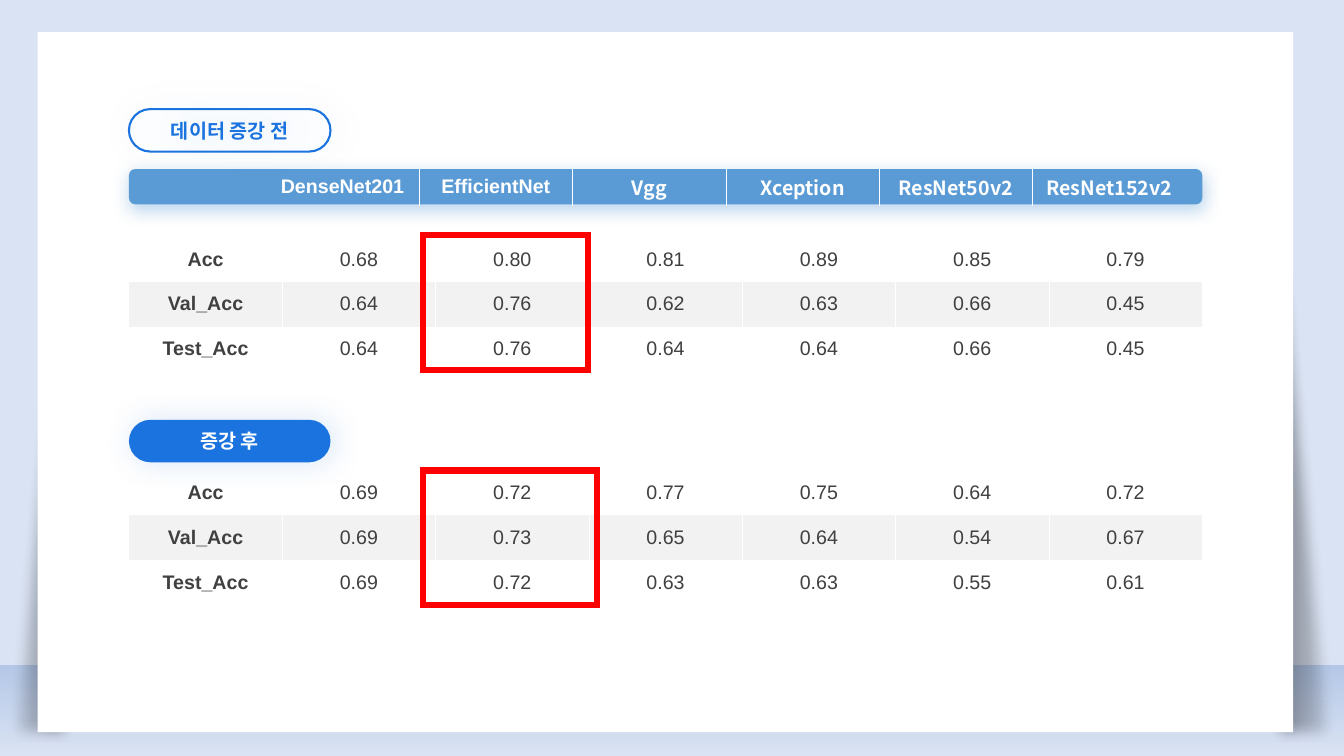
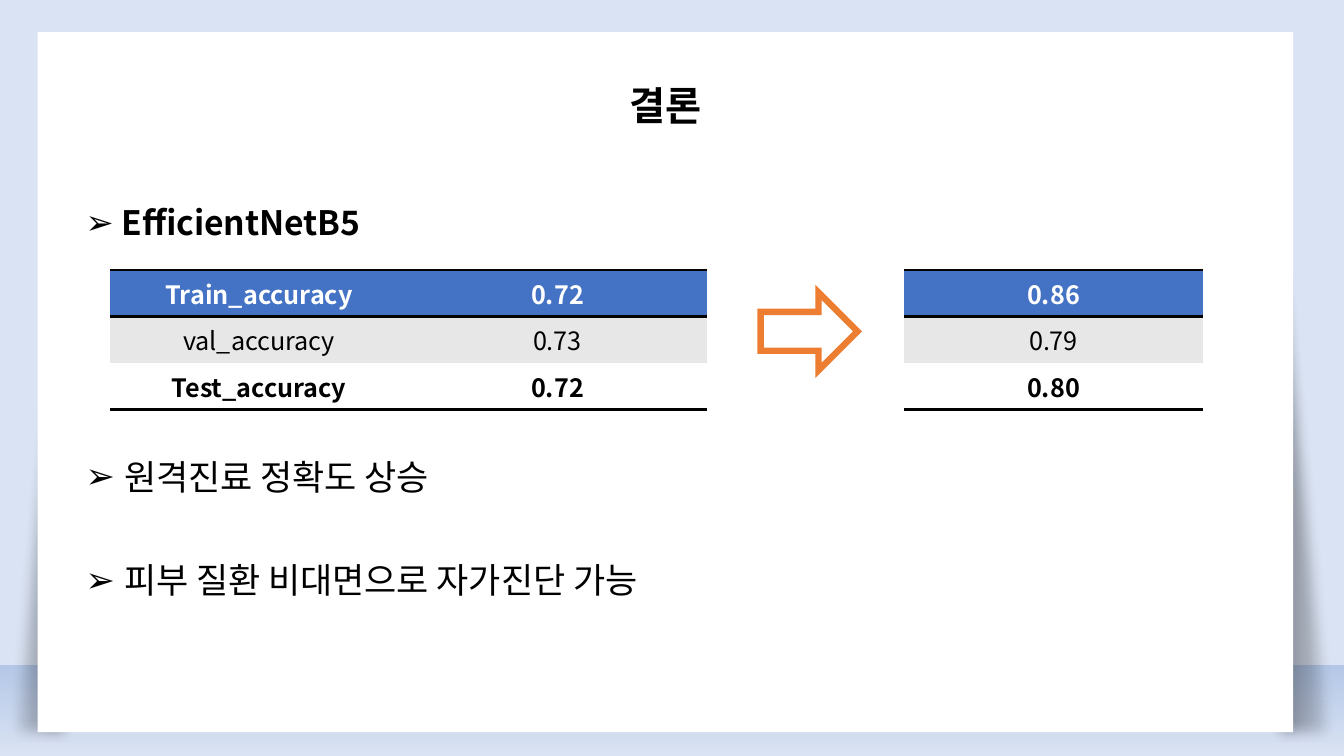
from dataclasses import dataclass
from typing import Callable, Optional

import pptx
import pptx.dml.color
import pptx.enum.shapes
import pptx.enum.text
import pptx.oxml
import pptx.oxml.ns
import pptx.util

Cm = pptx.util.Cm
Pt = pptx.util.Pt
Shapes = pptx.enum.shapes.MSO_SHAPE
Align = pptx.enum.text.PP_ALIGN
Anchor = pptx.enum.text.MSO_ANCHOR
qn = pptx.oxml.ns.qn
A_NS = pptx.oxml.ns.nsdecls("a")
NO_STYLE_TABLE = "{2D5ABB26-0587-4C30-8999-92F81FD0307C}"


@dataclass(frozen=True)
class Theme:
    backdrop: str = "DAE3F3"
    ground: str = "B4C7E7"
    white: str = "FFFFFF"
    black: str = "000000"
    body: str = "404040"
    header_bar: str = "5B9BD5"
    band: str = "F2F2F2"
    pill: str = "1A73DE"
    highlight: str = "FF0000"
    result_header: str = "4472C4"
    result_band: str = "E7E7E7"
    arrow: str = "ED7D31"
    latin: str = "Arial"
    korean: str = "Noto Sans CJK KR"
    title_size: int = 28
    model_size: int = 24
    point_size: int = 25
    result_size: int = 18
    score_size: int = 14


THEME = Theme()


@dataclass(frozen=True)
class Box:
    """A place on the slide, in centimetres."""
    left: float
    top: float
    width: float
    height: float

    def lengths(self) -> tuple:
        return Cm(self.left), Cm(self.top), Cm(self.width), Cm(self.height)


@dataclass(frozen=True)
class TextStyle:
    size: int
    color: str
    bold: bool = False
    font: str = THEME.korean
    align: Align = Align.CENTER


@dataclass(frozen=True)
class Border:
    sides: str
    color: str
    points: float


@dataclass(frozen=True)
class CellStyle:
    text: TextStyle
    fill: Optional[str]
    border: Border
    anchor: Anchor = Anchor.MIDDLE


@dataclass(frozen=True)
class Shadow:
    color: str
    opacity: int
    blur: int
    distance: int
    angle: int


@dataclass(frozen=True)
class Stop:
    position: int
    color: str
    opacity: int = 100


@dataclass(frozen=True)
class ScoreBlock:
    """One set of accuracies with its label and the frame on the chosen model."""
    label: str
    pill_top: float
    pill_filled: bool
    table_top: float
    rows: tuple
    frame: Box


@dataclass(frozen=True)
class Point:
    text: str
    size: int = THEME.point_size
    bold: bool = False
    font: str = THEME.latin
    indent: float = 0.97
    space_before: int = 0


PAPER = Box(0.95, 0.81, 31.64, 17.64)
CONTENT_LEFT, CONTENT_WIDTH = 3.25, 27.05
SCORE_COLUMN = CONTENT_WIDTH / 7
MODELS = ("", "DenseNet201", "EfficientNet", "Vgg", "Xception", "ResNet50v2", "ResNet152v2")
SCORE_BLOCKS = (
    ScoreBlock("데이터 증강 전", 2.75, False, 5.97, (
        ("Acc", "0.68", "0.80", "0.81", "0.89", "0.85", "0.79"),
        ("Val_Acc", "0.64", "0.76", "0.62", "0.63", "0.66", "0.45"),
        ("Test_Acc", "0.64", "0.76", "0.64", "0.64", "0.66", "0.45"),
    ), Box(10.66, 5.93, 4.16, 3.39)),
    ScoreBlock("증강 후", 10.58, True, 11.86, (
        ("Acc", "0.69", "0.72", "0.77", "0.75", "0.64", "0.72"),
        ("Val_Acc", "0.69", "0.73", "0.65", "0.64", "0.54", "0.67"),
        ("Test_Acc", "0.69", "0.72", "0.63", "0.63", "0.55", "0.61"),
    ), Box(10.66, 11.86, 4.39, 3.38)),
)
RESULTS_BEFORE = (("Train_accuracy", "0.72"), ("val_accuracy", "0.73"), ("Test_accuracy", "0.72"))
RESULTS_AFTER = (("0.86",), ("0.79",), ("0.80",))
POINTS = (
    Point("EfficientNetB5", THEME.model_size, True, THEME.korean, 0.9),
    Point("원격진료 정확도 상승", space_before=155),
    Point("피부 질환 비대면으로 자가진단 가능", space_before=47),
)


def rgb(color: str):
    return pptx.dml.color.RGBColor.from_string(color)


def color_xml(color: str, opacity: int = 100) -> str:
    return f'<a:srgbClr val="{color}"><a:alpha val="{opacity * 1000}"/></a:srgbClr>'


def write(paragraph, text: str, style: TextStyle) -> None:
    paragraph.text = text
    paragraph.alignment = style.align
    font = paragraph.font
    font.size, font.bold, font.name = Pt(style.size), style.bold, style.font
    font.color.rgb = rgb(style.color)
    defaults = paragraph._p.get_or_add_pPr().find(qn("a:defRPr"))
    defaults.append(pptx.oxml.parse_xml(f'<a:ea {A_NS} typeface="{THEME.korean}"/>'))


def add_shape(slide, kind: Shapes, box: Box, fill: Optional[str] = None,
              line: Optional[str] = None, points: float = 0):
    shape = slide.shapes.add_shape(kind, *box.lengths())
    shape.shadow.inherit = False
    if fill:
        shape.fill.solid()
        shape.fill.fore_color.rgb = rgb(fill)
    else:
        shape.fill.background()
    if line:
        shape.line.color.rgb = rgb(line)
        shape.line.width = Pt(points)
        shape.line._ln.append(pptx.oxml.parse_xml(f'<a:miter {A_NS} lim="800000"/>'))
    else:
        shape.line.fill.background()
    return shape


def add_effect(shape, xml: str) -> None:
    shape._element.spPr.find(qn("a:effectLst")).append(pptx.oxml.parse_xml(xml))


def cast_shadow(shape, shadow: Shadow) -> None:
    add_effect(shape, f'<a:outerShdw {A_NS} blurRad="{Pt(shadow.blur)}" dist="{Pt(shadow.distance)}" '
                      f'dir="{shadow.angle * 60000}" algn="ctr" rotWithShape="0">'
                      f'{color_xml(shadow.color, shadow.opacity)}</a:outerShdw>')


def fill_gradient(shape, angle: int, stops: tuple) -> None:
    stops_xml = "".join(f'<a:gs pos="{stop.position * 1000}">{color_xml(stop.color, stop.opacity)}</a:gs>'
                        for stop in stops)
    properties = shape._element.spPr
    properties.replace(properties.find(qn("a:noFill")), pptx.oxml.parse_xml(
        f'<a:gradFill {A_NS} rotWithShape="1"><a:gsLst>{stops_xml}</a:gsLst>'
        f'<a:lin ang="{angle * 60000}" scaled="0"/></a:gradFill>'))


def add_text_frame(slide, box: Box):
    frame = slide.shapes.add_textbox(*box.lengths()).text_frame
    frame.word_wrap = True
    frame.margin_left = frame.margin_right = frame.margin_top = frame.margin_bottom = 0
    return frame


def draw_borders(cell, border: Border) -> None:
    """Draw the sides named in border.sides and clear the other ones."""
    properties = cell._tc.get_or_add_tcPr()
    solid = f"<a:solidFill>{color_xml(border.color)}</a:solidFill>"
    for index, side in enumerate("LRTB"):
        paint = solid if side in border.sides else "<a:noFill/>"
        properties.insert(index, pptx.oxml.parse_xml(
            f'<a:ln{side} {A_NS} w="{Pt(border.points)}">{paint}</a:ln{side}>'))


def add_grid(slide, left: float, top: float, widths: list, row_height: float, rows: tuple,
             style_of: Callable[[int, int], CellStyle]) -> None:
    box = Box(left, top, sum(widths), row_height * len(rows))
    table = slide.shapes.add_table(len(rows), len(widths), *box.lengths()).table
    table.first_row = table.horz_banding = False
    table._tbl.tblPr.find(qn("a:tableStyleId")).text = NO_STYLE_TABLE
    for column, width in zip(table.columns, widths):
        column.width = Cm(width)
    for row_index, values in enumerate(rows):
        table.rows[row_index].height = Cm(row_height)
        for column_index, value in enumerate(values):
            cell, style = table.cell(row_index, column_index), style_of(row_index, column_index)
            write(cell.text_frame.paragraphs[0], value, style.text)
            cell.vertical_anchor = style.anchor
            if style.fill:
                cell.fill.solid()
                cell.fill.fore_color.rgb = rgb(style.fill)
            else:
                cell.fill.background()
            draw_borders(cell, style.border)


def model_style(row: int, column: int) -> CellStyle:
    font = THEME.latin if column < 3 else THEME.korean
    sides = ("", "R", "LR", "LR", "LR", "LR", "L")[column]
    return CellStyle(TextStyle(THEME.score_size, THEME.white, True, font), None,
                     Border(sides, THEME.white, 0.5))


def score_style(row: int, column: int) -> CellStyle:
    sides = "R" if column == 0 else "L" if column == 6 else "LR"
    return CellStyle(TextStyle(THEME.score_size, THEME.body, column == 0, THEME.latin),
                     THEME.band if row == 1 else None, Border(sides, THEME.white, 0.5))


def result_style(row: int, column: int) -> CellStyle:
    fill = (THEME.result_header, THEME.result_band, THEME.white)[row]
    sides = ("TB", "T", "B")[row]
    color = THEME.white if row == 0 else THEME.black
    return CellStyle(TextStyle(THEME.result_size, color, row != 1), fill,
                     Border(sides, THEME.black, 2), Anchor.TOP)


def add_paper_slide(deck):
    """Add a slide with the sheet of paper standing on the ground."""
    slide = deck.slides.add_slide(deck.slide_layouts[6])
    slide.background.fill.solid()
    slide.background.fill.fore_color.rgb = rgb(THEME.backdrop)
    ground = add_shape(slide, Shapes.RECTANGLE, Box(0, 16.75, 33.87, 2.3))
    fill_gradient(ground, 90, (Stop(0, THEME.ground), Stop(100, THEME.backdrop)))
    for left, flipped in ((0, True), (31.97, False)):
        side_shade = add_shape(slide, Shapes.RIGHT_TRIANGLE, Box(left, 0, 1.9, 18.75))
        if flipped:
            side_shade._element.spPr.xfrm.set("flipH", "1")
        fill_gradient(side_shade, 180, (Stop(0, THEME.black, 0), Stop(100, THEME.black, 48)))
        add_effect(side_shade, f'<a:softEdge {A_NS} rad="{Pt(10)}"/>')
    add_shape(slide, Shapes.RECTANGLE, PAPER, THEME.white)
    return slide


def add_pill(slide, block: ScoreBlock) -> None:
    box = Box(CONTENT_LEFT, block.pill_top, 5.08, 1.07)
    if block.pill_filled:
        pill = add_shape(slide, Shapes.ROUNDED_RECTANGLE, box, THEME.pill)
    else:
        pill = add_shape(slide, Shapes.ROUNDED_RECTANGLE, box, line=THEME.pill, points=1.5)
    pill.adjustments[0] = 0.5
    cast_shadow(pill, Shadow(THEME.pill, 17, 23, 3, 0))
    pill.text_frame.vertical_anchor = Anchor.MIDDLE
    color = THEME.white if block.pill_filled else THEME.pill
    write(pill.text_frame.paragraphs[0], block.label,
          TextStyle(THEME.score_size, color, True, THEME.latin))


def build_scores(deck) -> None:
    slide = add_paper_slide(deck)
    header_bar = add_shape(slide, Shapes.ROUNDED_RECTANGLE,
                           Box(CONTENT_LEFT, 4.26, CONTENT_WIDTH, 0.89), THEME.header_bar)
    header_bar.adjustments[0] = 0.18
    cast_shadow(header_bar, Shadow(THEME.header_bar, 41, 12, 3, 90))
    add_grid(slide, CONTENT_LEFT, 4.22, [3.45] + [SCORE_COLUMN] * 6, 0.82, (MODELS,), model_style)
    for block in SCORE_BLOCKS:
        add_grid(slide, CONTENT_LEFT, block.table_top, [SCORE_COLUMN] * 7, 1.13, block.rows, score_style)
        add_pill(slide, block)
        add_shape(slide, Shapes.RECTANGLE, block.frame, line=THEME.highlight, points=4.5)


def build_conclusion(deck) -> None:
    slide = add_paper_slide(deck)
    title = add_text_frame(slide, Box(PAPER.left, 2.05, PAPER.width, 1.5))
    write(title.paragraphs[0], "결론", TextStyle(THEME.title_size, THEME.black, True))
    points = add_text_frame(slide, Box(2.16, 5.21, 29, 10.5))
    for index, point in enumerate(POINTS):
        paragraph = points.add_paragraph() if index else points.paragraphs[0]
        paragraph.line_spacing = 0.9
        if point.space_before:
            paragraph.space_before = Pt(point.space_before)
        properties = paragraph._p.get_or_add_pPr()
        properties.set("marL", str(Cm(point.indent)))
        properties.set("indent", str(-Cm(point.indent)))
        properties.append(pptx.oxml.parse_xml(f'<a:buFont {A_NS} typeface="{THEME.latin}"/>'))
        properties.append(pptx.oxml.parse_xml(f'<a:buChar {A_NS} char="➢"/>'))
        write(paragraph, point.text,
              TextStyle(point.size, THEME.black, point.bold, point.font, Align.LEFT))
    for left, rows in ((2.77, RESULTS_BEFORE), (22.79, RESULTS_AFTER)):
        add_grid(slide, left, 6.81, [7.52] * len(rows[0]), 1.17, rows, result_style)
    add_shape(slide, Shapes.RIGHT_ARROW, Box(19.17, 7.37, 2.44, 1.96), THEME.white, THEME.arrow, 4.5)


def main() -> None:
    deck = pptx.Presentation()
    deck.slide_width, deck.slide_height = Cm(33.87), Cm(19.05)
    build_scores(deck)
    build_conclusion(deck)
    deck.save("out.pptx")


if __name__ == "__main__":
    main()
